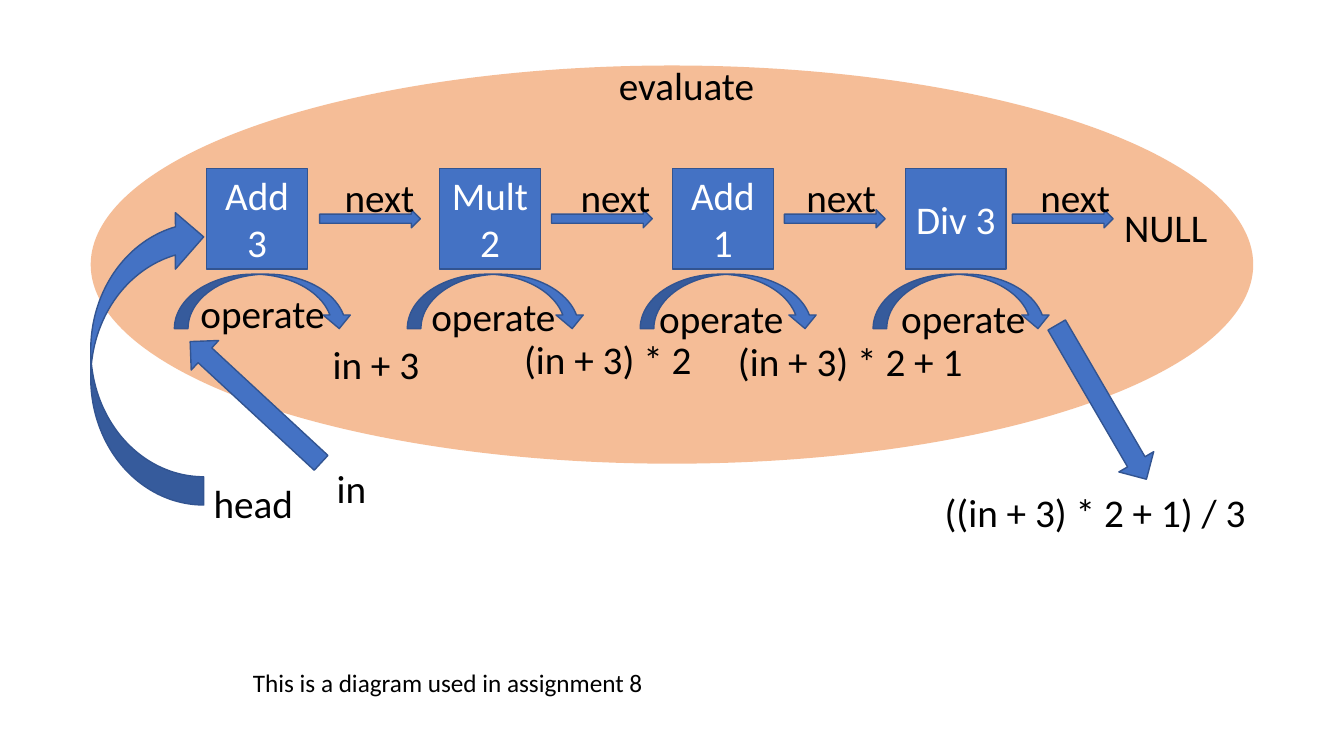
from lxml.etree import SubElement
from pptx import Presentation
from pptx.dml.color import RGBColor
from pptx.enum.shapes import MSO_SHAPE
from pptx.enum.text import MSO_ANCHOR, MSO_AUTO_SIZE, PP_ALIGN
from pptx.oxml.ns import qn
from pptx.util import Inches, Pt

# Content: node name, then left of its "next" arrow, left of its "next" label,
# and left and top of its "operate" label
STAGES = [
    ("Add 3", 3.17, 3.32, 1.89, 2.82),
    ("Mult 2", 5.47, 5.66, 4.18, 2.85),
    ("Add 1", 7.78, 7.9, 6.44, 2.87),
    ("Div 3", 10.04, 10.22, 8.84, 2.87),
]
# Text, left, top, width
VALUES = [
    ("in", 3.24, 4.56, 0.51),
    ("in + 3", 3.2, 3.33, 1.12),
    ("(in + 3) * 2", 5.1, 3.28, 1.9),
    ("(in + 3) * 2 + 1", 7.22, 3.3, 2.48),
    ("((in + 3) * 2 + 1) / 3", 9.27, 4.8, 3.54),
]
NAMES = [
    ("NULL", 11.05, 1.97, 1.04),
    ("head", 2.02, 4.71, 1),
    ("evaluate", 6.04, 0.56, 1.56),
]
CAPTION = ("This is a diagram used in assignment 8", 2.41, 6.57, 4.11)

# Grid in inches
FIRST_NODE, PITCH, NODE_TOP, NODE_SIZE = 2.05, 2.31, 1.67, 1
CURVE_SHIFT = -0.32
LABEL_HEIGHT, CAPTION_HEIGHT = 0.57, 0.4

FONT = "Calibri"
BLUE = RGBColor(0x44, 0x72, 0xC4)
EDGE = RGBColor(0x32, 0x54, 0x91)
ORANGE = RGBColor(0xED, 0x7D, 0x31)
BLACK = RGBColor(0, 0, 0)
WHITE = RGBColor(255, 255, 255)

deck = Presentation()
deck.slide_width, deck.slide_height = Inches(13.33), Inches(7.5)
page = deck.slides.add_slide(deck.slide_layouts[6])


def add_block(kind, left, top, width, height, rotation=0, fill=BLUE):
    block = page.shapes.add_shape(
        kind, Inches(left), Inches(top), Inches(width), Inches(height))
    block.rotation = rotation
    block.shadow.inherit = False
    block.fill.solid()
    block.fill.fore_color.rgb = fill
    block.line.color.rgb = EDGE
    block.line.width = Pt(1)
    return block


def write(frame, text, color, size=28):
    para = frame.paragraphs[0]
    para.text = text
    para.font.name, para.font.size = FONT, Pt(size)
    para.font.color.rgb = color
    return para


def add_label(text, left, top, width, height=LABEL_HEIGHT, size=28, wrap=False):
    box = page.shapes.add_textbox(
        Inches(left), Inches(top), Inches(width), Inches(height))
    box.text_frame.word_wrap = wrap
    box.text_frame.auto_size = MSO_AUTO_SIZE.SHAPE_TO_FIT_TEXT
    write(box.text_frame, text, BLACK, size)


# Half-transparent "evaluate" region
region = add_block(MSO_SHAPE.OVAL, 0.9, 0.65, 11.53, 3.95, fill=ORANGE)
region.line.fill.background()
tint = region.fill._xPr.find(qn("a:solidFill"))[0]
SubElement(tint, qn("a:alpha"), val="50000")

# Linked nodes, each with its "next" arrow and "operate" curve
for index, (name, arrow_left, next_left, operate_left, operate_top) in enumerate(STAGES):
    left = FIRST_NODE + index * PITCH
    node = add_block(MSO_SHAPE.RECTANGLE, left, NODE_TOP, NODE_SIZE, NODE_SIZE)
    node.text_frame.vertical_anchor = MSO_ANCHOR.MIDDLE
    write(node.text_frame, name, WHITE).alignment = PP_ALIGN.CENTER
    add_block(MSO_SHAPE.RIGHT_ARROW, arrow_left, 2.08, 1, 0.18)
    add_label("next", next_left, NODE_TOP, 0.9)
    add_block(MSO_SHAPE.CURVED_DOWN_ARROW, left + CURVE_SHIFT, 2.72, 1.77, 0.54)
    add_label("operate", operate_left, operate_top, 1.44)

# Head pointer, input arrow and output arrow
add_block(MSO_SHAPE.CURVED_DOWN_ARROW, -0.01, 2.98, 2.94, 1.12, rotation=270)
for left, rotation in ((1.65, 222.8), (10.04, 59.8)):
    add_block(MSO_SHAPE.RIGHT_ARROW, left, 3.79, 1.77, 0.4, rotation)

# Values, names and caption
for value in VALUES:
    add_label(*value, wrap=True)
for name in NAMES:
    add_label(*name)
add_label(*CAPTION, height=CAPTION_HEIGHT, size=18)

deck.save("out.pptx")
